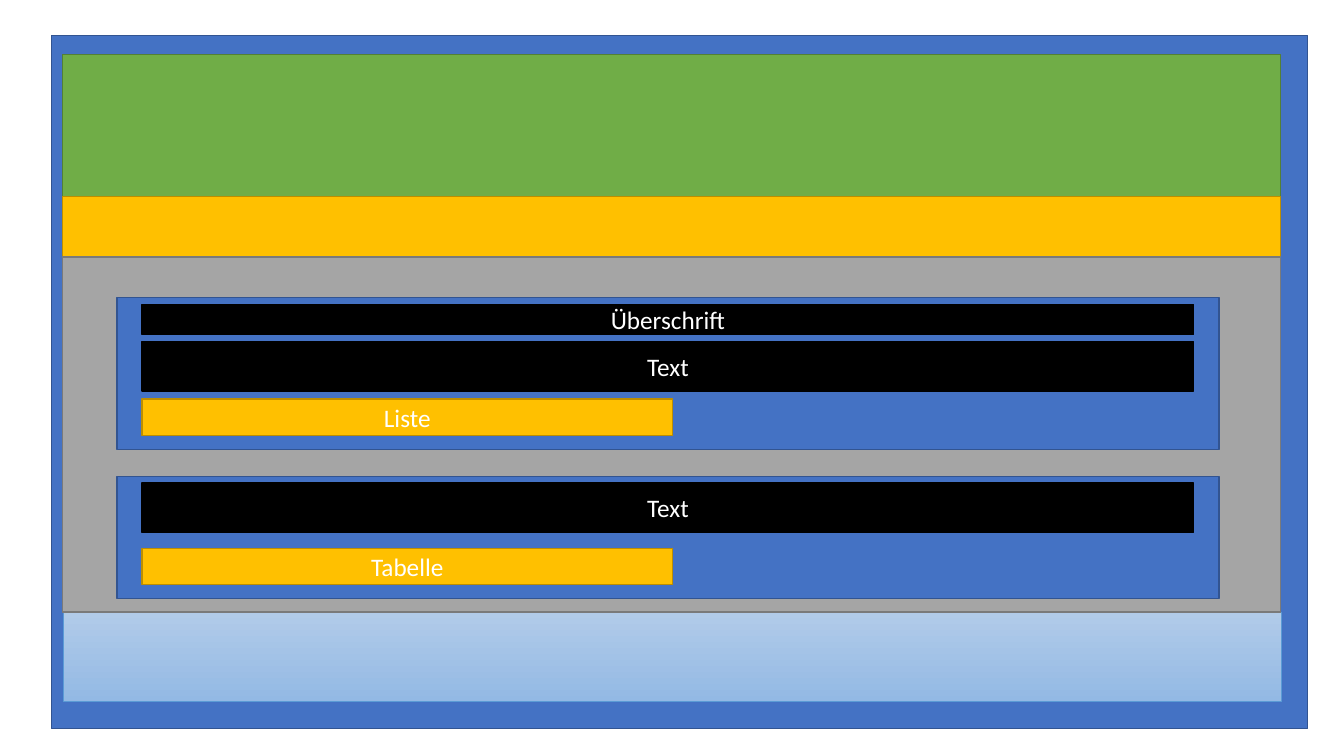
"""Builds a page layout sketch with stacked bands and two content sections."""
from pptx import Presentation
from pptx import util as u
from pptx.dml.color import RGBColor
from pptx.enum import shapes, text

COLORS = {
    "blue": "4472C4", "blue_edge": "325491",
    "green": "70AD47", "green_edge": "538035",
    "gold": "FFC000", "gold_edge": "BD8E00",
    "gray": "A5A5A5", "gray_edge": "7A7A7A",
    "black": "000000", "black_edge": "000000",
    "sky": "B1CBE9", "sky_end": "93B9E4", "sky_edge": "5B9BD5",
    "white": "FFFFFF",
}


def rgb(name):
    return RGBColor.from_string(COLORS[name])


def write(frame, words, size=18, font="Calibri", color="white"):
    frame.word_wrap = True
    frame.vertical_anchor = text.MSO_ANCHOR.MIDDLE
    paragraph = frame.paragraphs[0]
    paragraph.alignment = text.PP_ALIGN.CENTER
    run = paragraph.add_run()
    run.text = words
    run.font.size = u.Pt(size)
    run.font.name = font
    run.font.color.rgb = rgb(color)


class Sketch:
    CELL = u.Inches(0.1)

    def __init__(self, slide):
        self.slide = slide

    def block(self, col, row, cols, rows, color, words=None, edge=1):
        cells = [round(n * self.CELL) for n in (col, row, cols, rows)]
        block = self.slide.shapes.add_shape(shapes.MSO_SHAPE.RECTANGLE, *cells)
        block.shadow.inherit = False
        block.fill.solid()
        block.fill.fore_color.rgb = rgb(color)
        block.line.color.rgb = rgb(color + "_edge")
        block.line.width = u.Pt(edge)
        if words:
            write(block.text_frame, words)
        return block

    def gradient_block(self, col, row, cols, rows, color):
        block = self.block(col, row, cols, rows, color, edge=0.5)
        block.fill.gradient()
        block.fill.gradient_angle = 270
        for stop, name in zip(block.fill.gradient_stops, (color, color + "_end")):
            stop.color.rgb = rgb(name)

    def section(self, row, rows, parts):
        self.block(11.6, row, 109.3, rows, "blue")
        for offset, cols, height, color, words in parts:
            self.block(14.1, row + offset, cols, height, color, words)


deck = Presentation()
deck.slide_width, deck.slide_height = u.Inches(13.33), u.Inches(7.5)
sketch = Sketch(deck.slides.add_slide(deck.slide_layouts[6]))

LEFT, WIDE = 6.2, 120.8
FULL, HALF = 104.3, 52.6

sketch.block(5.1, 3.5, 124.6, 68.8, "blue")
sketch.gradient_block(LEFT + 0.1, 60.7, WIDE, 8.9, "sky")

band_top = 5.4
for height, color in ((14.1, "green"), (6, "gold"), (35.2, "gray")):
    sketch.block(LEFT, band_top, WIDE, height, color)
    band_top += height

sketch.section(29.5, 15.1, [
    (0.7, FULL, 3, "black", "Überschrift"),
    (4.4, FULL, 4.9, "black", "Text"),
    (10.1, HALF, 3.6, "gold", "Liste"),
])
sketch.section(47.3, 12.1, [
    (0.6, FULL, 4.9, "black", "Text"),
    (7.1, HALF, 3.6, "gold", "Tabelle"),
])

deck.save("out.pptx")
